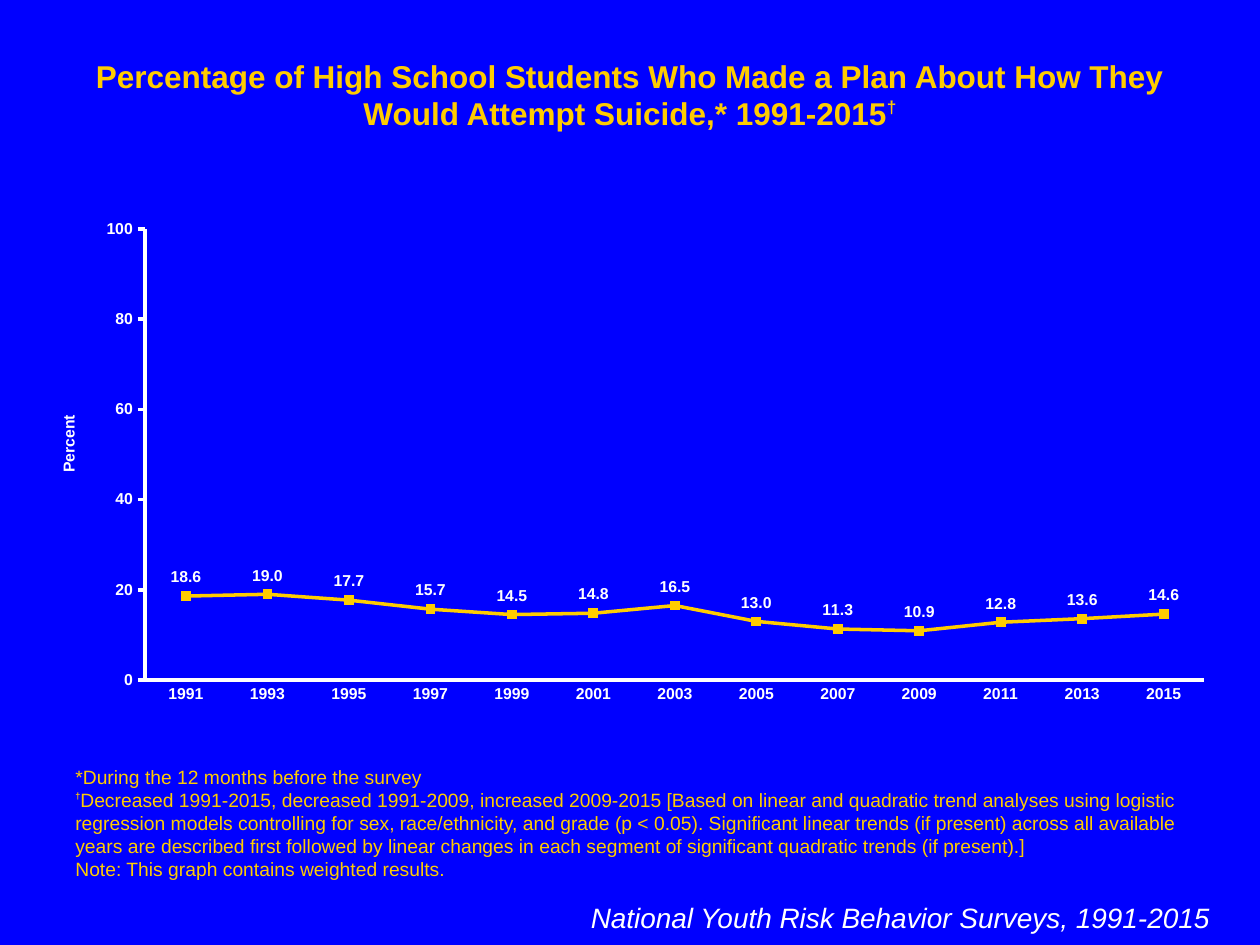
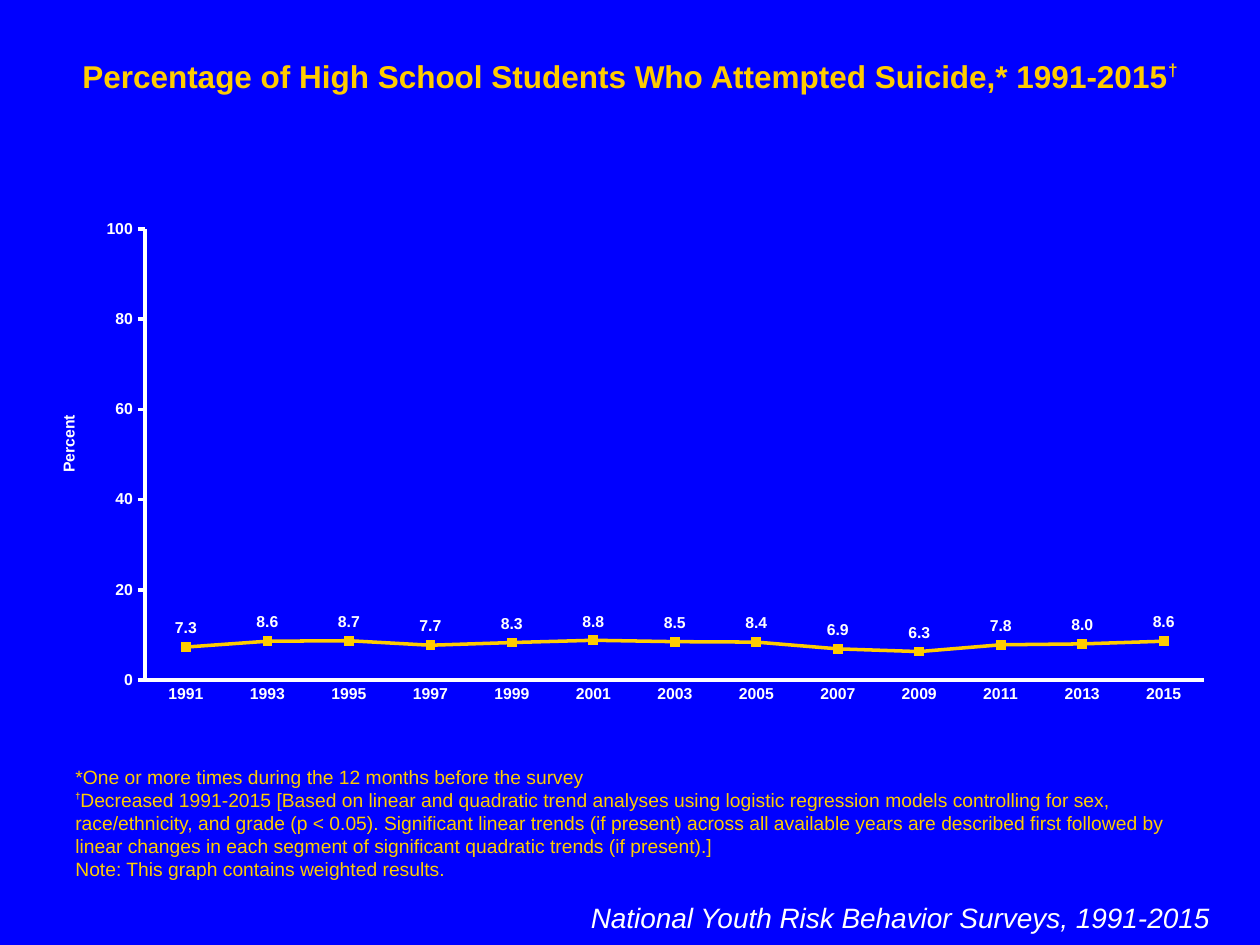
"""Builds two slides of survey trend charts on suicide plans and attempts."""
from dataclasses import dataclass

from lxml.etree import SubElement
from pptx import Presentation
from pptx.chart.data import CategoryChartData
from pptx.dml.color import RGBColor
from pptx.enum.chart import XL_CHART_TYPE as ChartType
from pptx.enum.chart import XL_LABEL_POSITION as LabelPosition
from pptx.enum.chart import XL_MARKER_STYLE as MarkerStyle
from pptx.enum.chart import XL_TICK_MARK as TickMark
from pptx.enum.text import MSO_ANCHOR as Anchor
from pptx.enum.text import PP_ALIGN as Align
from pptx.oxml.ns import qn
from pptx.util import Inches, Pt


@dataclass(frozen=True)
class Theme:
    font: str = "Arial"
    blue: RGBColor = RGBColor(0, 0, 255)
    gold: RGBColor = RGBColor(255, 204, 0)
    white: RGBColor = RGBColor(255, 255, 255)
    title: int = 18
    title_mark: int = 17
    note: int = 11
    note_mark: int = 9
    source: int = 16
    chart: int = 9
    line: int = 2


theme = Theme()
YEARS = [str(year) for year in range(1991, 2016, 2)]
SOURCE = "National Youth Risk Behavior Surveys, 1991-2015"
METHOD = (
    " [Based on linear and quadratic trend analyses using logistic regression models "
    "controlling for sex, race/ethnicity, and grade (p < 0.05). Significant linear trends "
    "(if present) across all available years are described first followed by linear changes "
    "in each segment of significant quadratic trends (if present).]"
)
WEIGHTED = "Note: This graph contains weighted results."
BOXES = {
    "title": (0.5, 0.4, 9, 0.72, Anchor.TOP),
    "notes": (0.5, 6.02, 9, 1.02, Anchor.BOTTOM),
    "source": (4.53, 7.1, 5.17, 0.37, Anchor.TOP),
}
SURVEYS = [
    {
        "title": "Percentage of High School Students Who Made a Plan About How They "
                 "Would Attempt Suicide,* 1991-2015",
        "period": "*During the 12 months before the survey",
        "trend": "Decreased 1991-2015, decreased 1991-2009, increased 2009-2015",
        "percents": [18.6, 19, 17.7, 15.7, 14.5, 14.8, 16.5, 13, 11.3, 10.9, 12.8, 13.6, 14.6],
    },
    {
        "title": "Percentage of High School Students Who Attempted Suicide,* 1991-2015",
        "period": "*One or more times during the 12 months before the survey",
        "trend": "Decreased 1991-2015",
        "percents": [7.3, 8.6, 8.7, 7.7, 8.3, 8.8, 8.5, 8.4, 6.9, 6.3, 7.8, 8, 8.6],
    },
]


def add_span(para, text, size, color=theme.gold, bold=False, italic=False, raised=0):
    span = para.add_run()
    span.text = text
    font = span.font
    font.name, font.size, font.bold, font.italic = theme.font, Pt(size), bold, italic
    font.color.rgb = color
    if raised:
        font._element.set("baseline", str(raised * 1000))


def set_layout(parent, index, **values):
    for old in parent.findall(qn("c:layout")):
        parent.remove(old)
    layout = SubElement(parent, qn("c:layout"))
    parent.insert(index, layout)
    manual = SubElement(layout, qn("c:manualLayout"))
    for name, value in values.items():
        SubElement(manual, qn(f"c:{name}")).set("val", str(value))


deck = Presentation()
deck.slide_width, deck.slide_height = Inches(10), Inches(7.5)

for survey in SURVEYS:
    page = deck.slides.add_slide(deck.slide_layouts[6])
    page.background.fill.solid()
    page.background.fill.fore_color.rgb = theme.blue

    frames = {}
    for name, (*place, anchor) in BOXES.items():
        box = page.shapes.add_textbox(*map(Inches, place))
        frames[name] = box.text_frame
        frames[name].word_wrap = True
        frames[name].vertical_anchor = anchor

    para = frames["title"].paragraphs[0]
    para.alignment = Align.CENTER
    add_span(para, survey["title"], theme.title, bold=True)
    add_span(para, "†", theme.title_mark, bold=True, raised=40)

    notes = frames["notes"]
    add_span(notes.paragraphs[0], survey["period"], theme.note)
    para = notes.add_paragraph()
    add_span(para, "†", theme.note_mark, bold=True, raised=50)
    add_span(para, survey["trend"] + METHOD, theme.note)
    add_span(notes.add_paragraph(), WEIGHTED, theme.note)

    para = frames["source"].paragraphs[0]
    para.alignment = Align.RIGHT
    add_span(para, SOURCE, theme.source, color=theme.white, italic=True)

    data = CategoryChartData()
    data.categories = YEARS
    data.add_series("Series 1", survey["percents"])
    chart = page.shapes.add_chart(
        ChartType.LINE_MARKERS, *map(Inches, (0.25, 1.67, 9.5, 4)), data
    ).chart
    chart.has_legend = chart.has_title = False
    chart.font.name, chart.font.size, chart.font.bold = theme.font, Pt(theme.chart), True
    chart.font.color.rgb = theme.white

    years, percent = chart.category_axis, chart.value_axis
    for axis, tick in ((years, TickMark.NONE), (percent, TickMark.OUTSIDE)):
        axis.has_major_gridlines = False
        axis.major_tick_mark, axis.minor_tick_mark = tick, TickMark.NONE
        axis.format.line.color.rgb = theme.white
        axis.format.line.width = Pt(theme.line)
    percent.minimum_scale, percent.maximum_scale, percent.major_unit = 0, 100, 20
    percent.tick_labels.number_format = "#,##0"
    percent.tick_labels.number_format_is_linked = False
    para = percent.axis_title.text_frame.paragraphs[0]
    add_span(para, "Percent", theme.chart, color=theme.white, bold=True)

    plot = chart.plots[0]
    plot.vary_by_categories = False
    series = plot.series[0]
    series.smooth = False
    series.format.line.color.rgb = theme.gold
    series.format.line.width = Pt(theme.line)
    series.marker.style, series.marker.size = MarkerStyle.SQUARE, 5
    series.marker.format.fill.solid()
    series.marker.format.fill.fore_color.rgb = theme.gold
    series.marker.format.line.color.rgb = theme.gold
    labels = series.data_labels
    labels.show_value, labels.position = True, LabelPosition.ABOVE
    labels.number_format, labels.number_format_is_linked = "#,##0.0", False
    labels.font.size, labels.font.bold = Pt(theme.chart), True
    labels.font.color.rgb = theme.white

    area = chart.element.find(".//" + qn("c:plotArea"))
    set_layout(area, 0, layoutTarget="inner", xMode="edge", yMode="edge",
               x=0.095, y=0.037, w=0.885, h=0.895)
    set_layout(area.find(".//" + qn("c:title")), 1, xMode="edge", yMode="edge", x=0.02, y=0.4)

deck.save("out.pptx")
